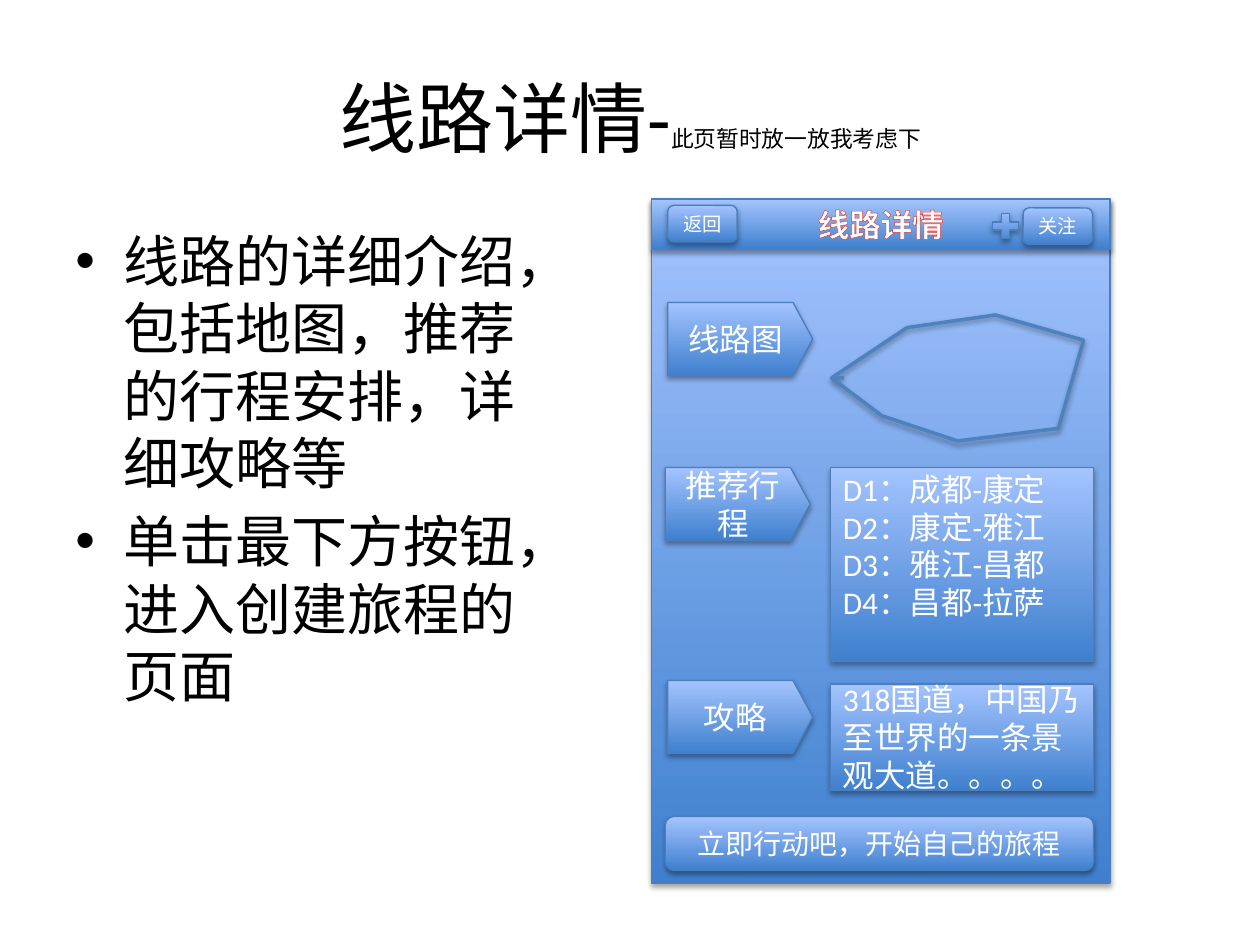
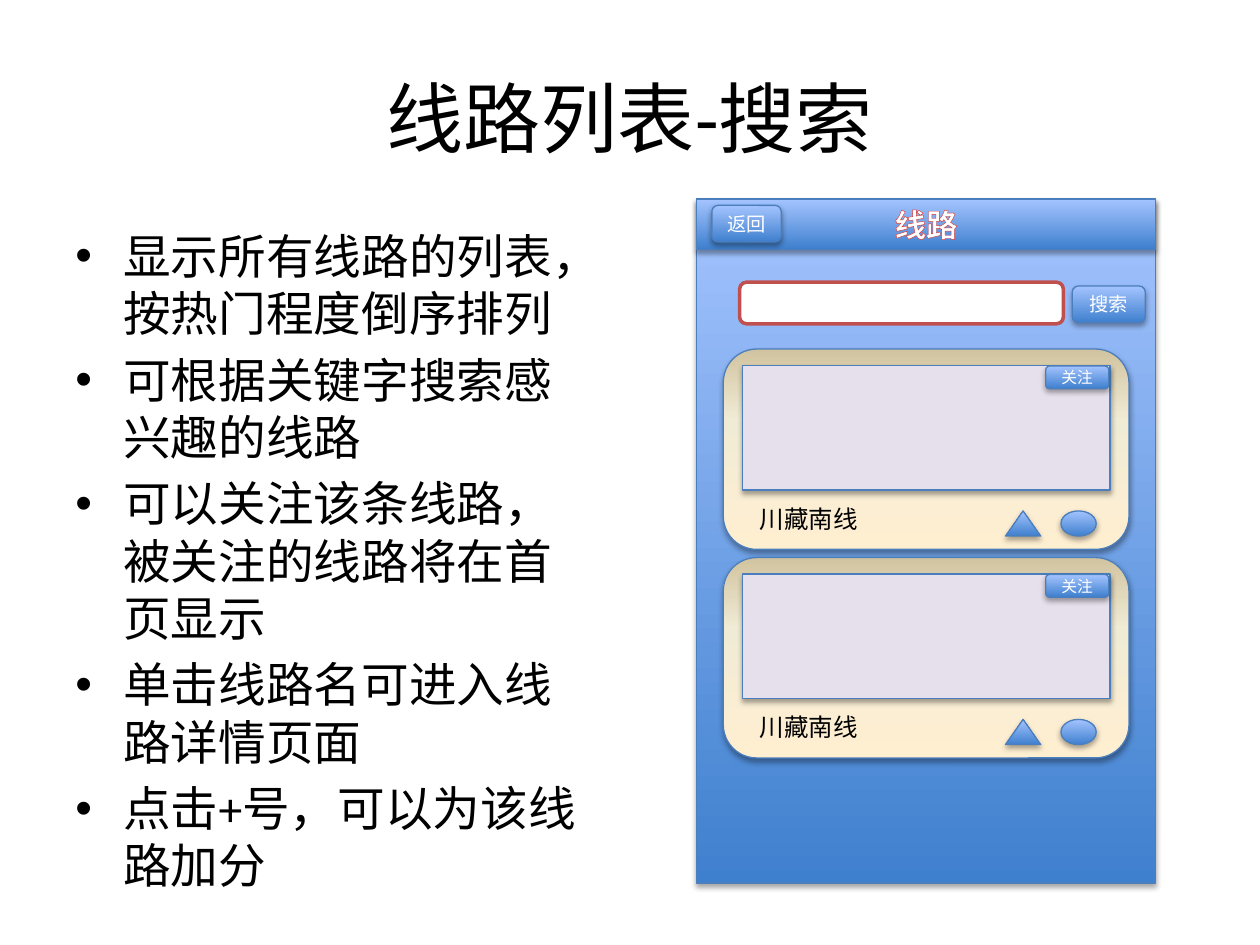
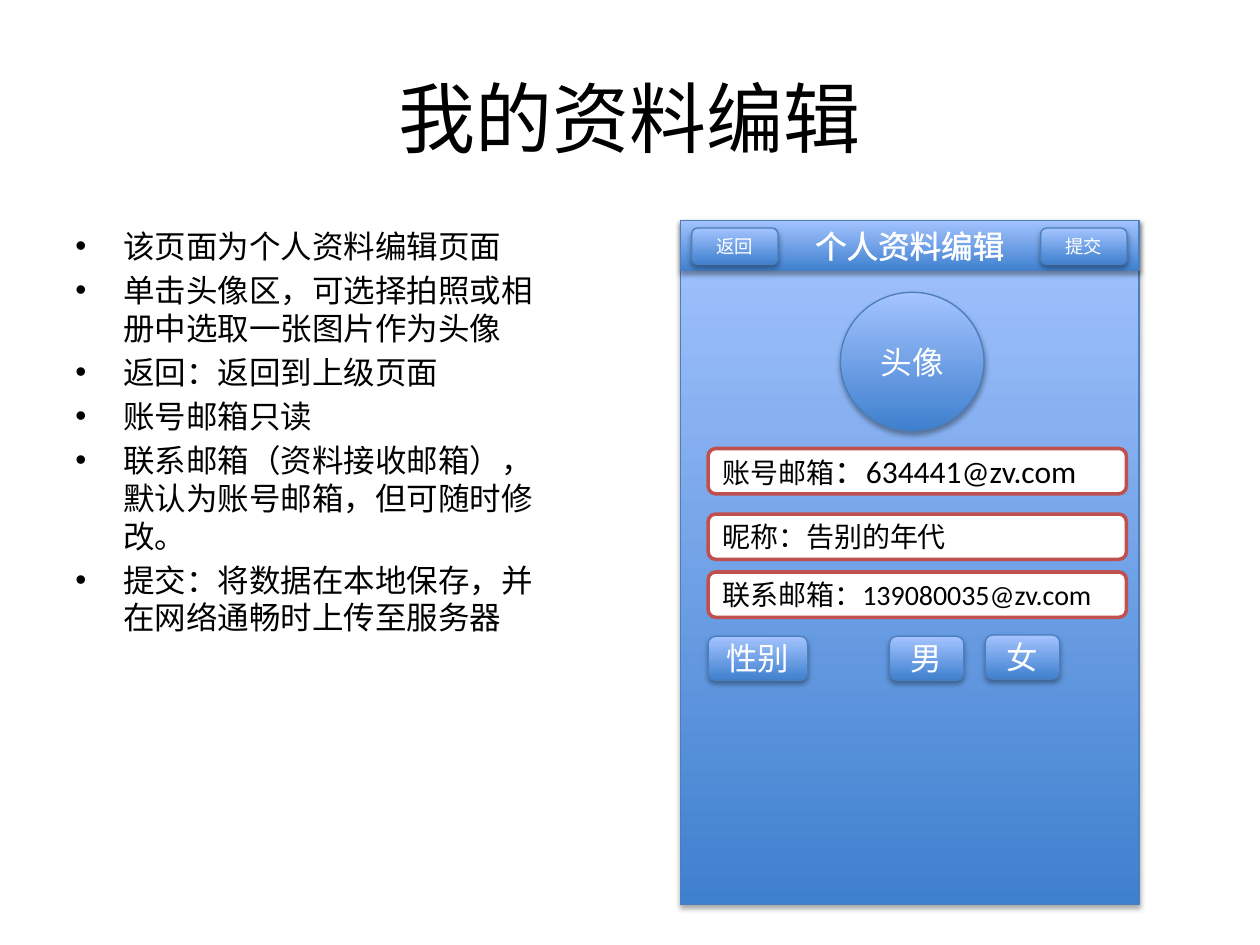
from dataclasses import dataclass, replace
from typing import Optional

from lxml import etree
from pptx import Presentation
from pptx import util as u
from pptx.dml.color import RGBColor
from pptx.enum import lang, shapes, text
from pptx.oxml.ns import qn

# Shared look
COLORS = {
    "ink": "000000", "white": "FFFFFF", "edge": "4B7EBC", "route": "4F81BD",
    "field": "C0504D", "photo": "E6E0EC", "glow": "D73A36",
}
BLUE = ((0, "3F80CE"), (100, "A4C4FF"))
SAND = ((0, "FFEFD1"), (65, "F0EBD5"), (100, "D1C39F"))
FONT, HEADER_FONT = "Calibri", "Noto Sans CJK SC"
KIND = shapes.MSO_SHAPE
LEFT, CENTER = text.PP_ALIGN.LEFT, text.PP_ALIGN.CENTER

# Grid: 100 columns by 75 rows
SLIDE_WIDTH, SLIDE_HEIGHT = u.Inches(10), u.Inches(7.5)
COLUMN, ROW = SLIDE_WIDTH / 100, SLIDE_HEIGHT / 75
PHONE_WIDTH, PHONE_HEIGHT, HEADER_HEIGHT = 36.4, 54.3, 4


@dataclass(frozen=True)
class Box:
    """A place on the grid, in columns and rows."""
    left: float
    top: float
    width: float
    height: float

    def emu(self) -> tuple:
        return (u.Emu(round(self.left * COLUMN)), u.Emu(round(self.top * ROW)),
                u.Emu(round(self.width * COLUMN)), u.Emu(round(self.height * ROW)))


@dataclass(frozen=True)
class Style:
    size: float
    color: str = "white"
    font: str = FONT
    bold: bool = False
    outline: Optional[str] = None


@dataclass(frozen=True)
class Widget:
    kind: int
    box: Box
    label: str = ""
    size: float = 18
    align: int = CENTER


# Formatting
def rgb(name: str) -> RGBColor:
    return RGBColor.from_string(COLORS[name])


def add_text(paragraph, words: str, style: Style) -> None:
    run = paragraph.add_run()
    run.text = words
    font = run.font
    font.name, font.size, font.bold = style.font, u.Pt(style.size), style.bold
    font.color.rgb = rgb(style.color)
    font.language_id = lang.MSO_LANGUAGE_ID.SIMPLIFIED_CHINESE
    properties = run._r.get_or_add_rPr()
    etree.SubElement(properties, qn("a:ea"), typeface=style.font)
    if style.outline:
        line = etree.Element(qn("a:ln"), w=str(u.Pt(1.42)))
        fill = etree.SubElement(line, qn("a:solidFill"))
        etree.SubElement(fill, qn("a:srgbClr"), val=COLORS[style.outline])
        properties.insert(0, line)


def set_gradient(shape, stops: tuple) -> None:
    shape.fill.gradient()
    shape.fill.gradient_angle = 90
    stop_list = shape._element.spPr.find(".//" + qn("a:gsLst"))
    for stop in list(stop_list):
        stop_list.remove(stop)
    for position, color in stops:
        stop = etree.SubElement(stop_list, qn("a:gs"), pos=str(position * 1000))
        etree.SubElement(stop, qn("a:srgbClr"), val=color)


def add_shadow(shape) -> None:
    shape.shadow.inherit = False
    effects = shape._element.spPr.find(qn("a:effectLst"))
    shadow = etree.SubElement(effects, qn("a:outerShdw"), blurRad=str(u.Pt(3.1)),
                              dist=str(u.Pt(1.8)), dir="5400000", rotWithShape="0")
    color = etree.SubElement(shadow, qn("a:srgbClr"), val=COLORS["ink"])
    etree.SubElement(color, qn("a:alpha"), val="35000")


def set_line(shape, color: str, width: float) -> None:
    shape.line.color.rgb = rgb(color)
    shape.line.width = u.Pt(width)


def open_frame(shape, align: int):
    frame = shape.text_frame
    frame.word_wrap = True
    frame.vertical_anchor = text.MSO_ANCHOR.MIDDLE
    frame.paragraphs[0].alignment = align
    return frame


# Building blocks
def add_panel(slide, kind: int, box: Box, stops: tuple = BLUE):
    shape = slide.shapes.add_shape(kind, *box.emu())
    set_gradient(shape, stops)
    set_line(shape, "edge", 0.75)
    add_shadow(shape)
    return shape


def add_widget(slide, widget: Widget):
    shape = add_panel(slide, widget.kind, widget.box)
    if widget.kind == KIND.PENTAGON:
        shape.adjustments[0] = 0.27
    frame = open_frame(shape, widget.align)
    for index, line in enumerate(widget.label.split("\n") if widget.label else []):
        paragraph = frame.add_paragraph() if index else frame.paragraphs[0]
        paragraph.alignment = widget.align
        add_text(paragraph, line, Style(widget.size))
    return shape


def add_button(slide, box: Box, label: str, size: float = 11) -> None:
    add_widget(slide, Widget(KIND.ROUNDED_RECTANGLE, box, label, size))


def add_field(slide, box: Box, *parts: tuple) -> None:
    shape = slide.shapes.add_shape(KIND.ROUNDED_RECTANGLE, *box.emu())
    shape.fill.solid()
    shape.fill.fore_color.rgb = rgb("white")
    set_line(shape, "field", 2)
    shape.shadow.inherit = False
    frame = open_frame(shape, LEFT)
    for words, size in parts:
        add_text(frame.paragraphs[0], words, Style(size, "ink"))


def add_phone(slide, left: float, top: float, heading: str, style: Style) -> None:
    screen = Box(left, top, PHONE_WIDTH, PHONE_HEIGHT)
    add_panel(slide, KIND.RECTANGLE, screen)
    header = add_panel(slide, KIND.RECTANGLE, replace(screen, height=HEADER_HEIGHT))
    add_text(open_frame(header, CENTER).paragraphs[0], heading, style)


def add_page(presentation, title_parts: list, width: float, size: float, points: list):
    slide = presentation.slides.add_slide(presentation.slide_layouts[5])
    title = slide.shapes.title
    title.left, title.top, title.width, title.height = Box(5, 3, 90, 12.5).emu()
    title_frame = open_frame(title, CENTER)
    for words, title_size in title_parts:
        add_text(title_frame.paragraphs[0], words, Style(title_size, "ink"))

    # Bulleted notes
    frame = slide.shapes.add_textbox(*Box(5, 17.5, width, 49.5).emu()).text_frame
    frame.word_wrap = True
    indent = u.Inches(0.38)
    for index, point in enumerate(points):
        paragraph = frame.add_paragraph() if index else frame.paragraphs[0]
        paragraph.space_before = u.Pt(size * 0.2)
        properties = paragraph._p.get_or_add_pPr()
        properties.set("marL", str(indent))
        properties.set("indent", str(-indent))
        etree.SubElement(properties, qn("a:buFont"), typeface="Arial")
        etree.SubElement(properties, qn("a:buChar"), char="•")
        add_text(paragraph, point, Style(size, "ink"))
    return slide


def add_route_card(slide, top: float) -> None:
    add_panel(slide, KIND.ROUNDED_RECTANGLE, Box(57.4, top, 32.2, 15.9), SAND)
    photo = add_panel(slide, KIND.RECTANGLE, Box(58.9, top + 1.3, 29.2, 9.9))
    photo.fill.solid()
    photo.fill.fore_color.rgb = rgb("photo")
    name = slide.shapes.add_textbox(*Box(59.3, top + 11.8, 12.3, 3.4).emu())
    name.text_frame.word_wrap = True
    add_text(name.text_frame.paragraphs[0], "川藏南线", Style(14, "ink"))
    for kind, left in ((KIND.ISOSCELES_TRIANGLE, 79.8), (KIND.OVAL, 84.2)):
        add_panel(slide, kind, Box(left, top + 12.85, 2.8, 2))
    add_button(slide, Box(83, top + 1.35, 5, 1.8), "关注", 9)


def add_route_map(slide) -> None:
    points = [(65.9, 29.8), (71.8, 25.6), (78.6, 25.3), (85.6, 27.2), (84.5, 33.9),
              (76.1, 34.8), (69.6, 32.7), (66.4, 29.9), (67.3, 30.4)]
    builder = slide.shapes.build_freeform(*points[0], scale=COLUMN)
    builder.add_line_segments(points[1:], close=False)
    route = builder.convert_to_shape()
    route.fill.background()
    set_line(route, "route", 2)
    add_shadow(route)


# Slides
def build_route_detail(presentation) -> None:
    slide = add_page(
        presentation, [("线路详情-", 44), ("此页暂时放一放我考虑下", 13)], 40.8, 32,
        ["线路的详细介绍，包括地图，推荐的行程安排，详细攻略等",
         "单击最下方按钮，进入创建旅程的页面"])
    add_phone(slide, 51.7, 15.8, "线路详情",
              Style(18, font=HEADER_FONT, bold=True, outline="glow"))
    add_button(slide, Box(53, 16.3, 5.5, 2.9), "返回")
    for label, left, top in (("线路图", 53, 24), ("推荐行程", 52.8, 37.1), ("攻略", 53, 54)):
        add_widget(slide, Widget(KIND.PENTAGON, Box(left, top, 11.5, 5.8), label))
    add_route_map(slide)
    days = add_widget(slide, Widget(
        KIND.RECTANGLE, Box(65.9, 37.1, 20.9, 15.4),
        "D1：成都-康定\nD2：康定-雅江\nD3：雅江-昌都\nD4：昌都-拉萨", align=LEFT))
    days.text_frame.margin_bottom = u.Inches(0.35)
    add_widget(slide, Widget(KIND.RECTANGLE, Box(65.9, 54.3, 20.9, 8.4),
                             "318国道，中国乃至世界的一条景观大道。。。。", align=LEFT))
    add_button(slide, Box(81.2, 16.5, 5.5, 2.9), "关注")
    add_button(slide, Box(52.8, 64.8, 34, 4.3), "立即行动吧，开始自己的旅程", 16)
    add_panel(slide, KIND.MATH_PLUS, Box(78.4, 16.6, 2.8, 2.7))


def build_route_list(presentation) -> None:
    slide = add_page(
        presentation, [("线路列表-搜索", 44)], 42, 27.2,
        ["显示所有线路的列表，按热门程度倒序排列", "可根据关键字搜索感兴趣的线路",
         "可以关注该条线路，被关注的线路将在首页显示", "单击线路名可进入线路详情页面",
         "点击+号，可以为该线路加分"])
    add_phone(slide, 55.3, 15.8, "线路",
              Style(18, font=HEADER_FONT, bold=True, outline="glow"))
    add_button(slide, Box(56.5, 16.3, 5.5, 2.9), "返回")
    add_button(slide, Box(85.1, 22.7, 5.8, 2.9), "搜索")
    add_field(slide, Box(58.7, 22.4, 25.7, 3.3))
    for index in range(2):
        add_route_card(slide, 27.7 + index * 16.55)


def build_profile_editor(presentation) -> None:
    slide = add_page(
        presentation, [("我的资料编辑", 44)], 39, 18,
        ["该页面为个人资料编辑页面", "单击头像区，可选择拍照或相册中选取一张图片作为头像",
         "返回：返回到上级页面", "账号邮箱只读",
         "联系邮箱（资料接收邮箱），默认为账号邮箱，但可随时修改。",
         "提交：将数据在本地保存，并在网络通畅时上传至服务器"])
    add_phone(slide, 54, 17.5, "个人资料编辑",
              Style(18, font=HEADER_FONT, outline="white"))
    for label, left in (("返回", 54.9), ("提交", 82.6)):
        add_button(slide, Box(left, 18.1, 6.85, 2.9), label, 10.5)
    fields = (
        (35.6, [("账号邮箱", 16), ("：634441@zv.com", 18)]),
        (40.8, [("昵称：告别的年代", 16)]),
        (45.4, [("联系邮箱：139080035@zv.com", 16)]),
    )
    for top, parts in fields:
        add_field(slide, Box(56.2, top, 33.2, 3.6), *parts)
    for label, left, top, width in (("性别", 56.2, 50.5, 7.9), ("男", 70.6, 50.5, 5.9),
                                    ("女", 78.2, 50.4, 5.9)):
        add_button(slide, Box(left, top, width, 3.5), label, 18)
    add_widget(slide, Widget(KIND.OVAL, Box(66.7, 23.2, 11.4, 11), "头像"))


def main() -> None:
    presentation = Presentation()
    presentation.slide_width, presentation.slide_height = SLIDE_WIDTH, SLIDE_HEIGHT
    build_route_detail(presentation)
    build_route_list(presentation)
    build_profile_editor(presentation)
    presentation.save("out.pptx")


if __name__ == "__main__":
    main()
